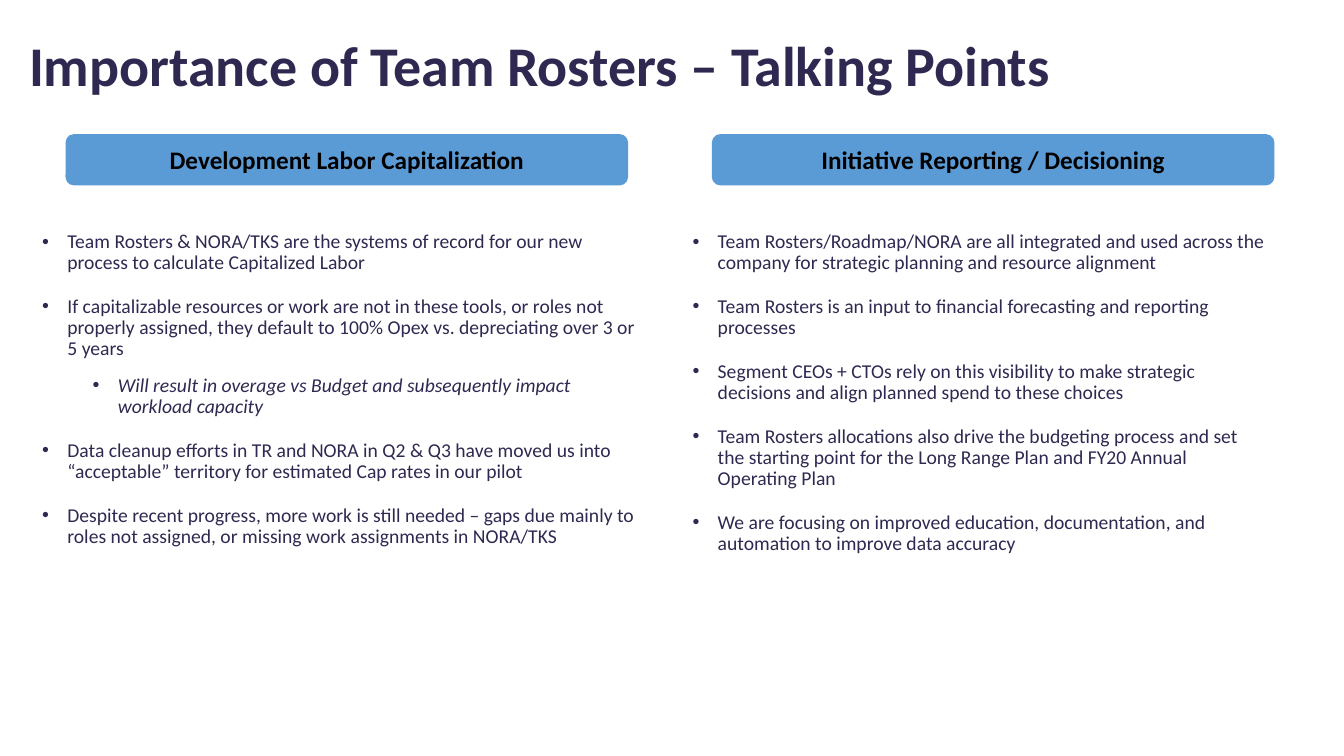
import pptx
import pptx.util
import pptx.dml.color
import pptx.enum.shapes
import pptx.enum.text
from lxml import etree

Inches = pptx.util.Inches
Pt = pptx.util.Pt
RGBColor = pptx.dml.color.RGBColor

NAVY = RGBColor(0x2F, 0x29, 0x51)
BLUE = RGBColor(0x5B, 0x9B, 0xD5)
BLACK = RGBColor(0, 0, 0)
FONT = "Calibri"

# Each point is (level, text)
LABOR = [
    (0, "Team Rosters & NORA/TKS are the systems of record for our new process to calculate Capitalized Labor"),
    (0, "If capitalizable resources or work are not in these tools, or roles not properly assigned, "
        "they default to 100% Opex vs. depreciating over 3 or 5 years"),
    (1, "Will result in overage vs Budget and subsequently impact workload capacity"),
    (0, "Data cleanup efforts in TR and NORA in Q2 & Q3 have moved us into “acceptable” territory "
        "for estimated Cap rates in our pilot"),
    (0, "Despite recent progress, more work is still needed – gaps due mainly to roles not assigned, "
        "or missing work assignments in NORA/TKS"),
]
REPORTS = [
    (0, "Team Rosters/Roadmap/NORA are all integrated and used across the company for strategic "
        "planning and resource alignment"),
    (0, "Team Rosters is an input to financial forecasting and reporting processes"),
    (0, "Segment CEOs + CTOs rely on this visibility to make strategic decisions and align planned "
        "spend to these choices"),
    (0, "Team Rosters allocations also drive the budgeting process and set the starting point for "
        "the Long Range Plan and FY20 Annual Operating Plan"),
    (0, "We are focusing on improved education, documentation, and automation to improve data accuracy"),
]


def style(para, size, color, bold=False, italic=False):
    for run in para.runs:
        font = run.font
        font.name, font.size = FONT, Pt(size)
        font.bold, font.italic = bold, italic
        font.color.rgb = color


def bullet(para, level):
    """Give the paragraph a hanging bullet, indented by its level."""
    props = para._p.get_or_add_pPr()
    props.set("marL", str(Inches(0.25 + 0.5 * level)))
    props.set("indent", str(Inches(-0.25)))
    space = pptx.oxml.ns.qn
    etree.SubElement(props, space("a:buFont")).set("typeface", "Arial")
    etree.SubElement(props, space("a:buChar")).set("char", "•")


def add_frame(slide, box):
    frame = slide.shapes.add_textbox(*map(Inches, box)).text_frame
    frame.word_wrap = True
    return frame


def add_title(slide, box, text):
    frame = add_frame(slide, box)
    frame.text = text
    para = frame.paragraphs[0]
    para.line_spacing = 0.9
    style(para, 40, NAVY, bold=True)


def add_header(slide, box, text):
    kind = pptx.enum.shapes.MSO_SHAPE.ROUNDED_RECTANGLE
    shape = slide.shapes.add_shape(kind, *map(Inches, box))
    shape.shadow.inherit = False
    shape.fill.solid()
    shape.fill.fore_color.rgb = BLUE
    shape.line.fill.background()
    frame = shape.text_frame
    frame.text = text
    frame.vertical_anchor = pptx.enum.text.MSO_ANCHOR.MIDDLE
    para = frame.paragraphs[0]
    para.alignment = pptx.enum.text.PP_ALIGN.CENTER
    style(para, 18, BLACK, bold=True)


def add_points(slide, box, points):
    frame = add_frame(slide, box)
    frame.margin_top = Inches(0.46)
    frame.text = "\n".join(text for _, text in points)
    for para, (level, _) in zip(frame.paragraphs, points):
        para.level = level
        para.line_spacing = 0.9
        para.space_before = Pt(5 if level else 10)
        para.space_after = Pt(6)
        bullet(para, level)
        style(para, 14, NAVY, italic=level > 0)


def main():
    deck = pptx.Presentation()
    deck.slide_width, deck.slide_height = Inches(13.33), Inches(7.5)
    slide = deck.slides.add_slide(deck.slide_layouts[6])
    add_title(slide, (0.19, 0.33, 12.62, 1), "Importance of Team Rosters – Talking Points")
    add_points(slide, (0.32, 1.84, 6.12, 5.33), LABOR)
    add_points(slide, (6.77, 1.84, 5.91, 3.74), REPORTS)
    add_header(slide, (0.65, 1.33, 5.58, 0.51), "Development Labor Capitalization")
    add_header(slide, (7.06, 1.33, 5.58, 0.51), "Initiative Reporting / Decisioning")
    deck.save("out.pptx")


if __name__ == "__main__":
    main()
